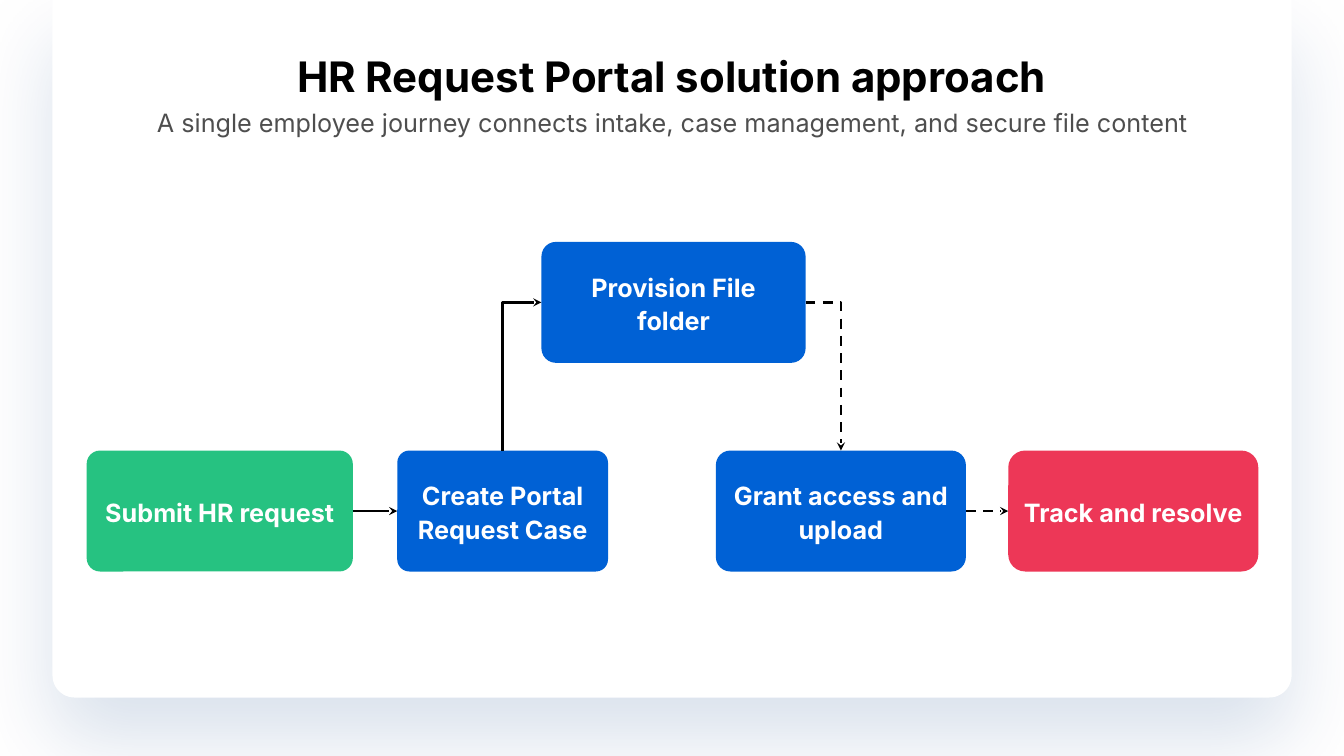
from lxml import etree
from pptx import Presentation
from pptx.dml.color import RGBColor
from pptx.enum.dml import MSO_LINE
from pptx.enum.shapes import MSO_CONNECTOR as LINK, MSO_SHAPE as SHAPE
from pptx.enum.text import MSO_ANCHOR as ANCHOR, MSO_AUTO_SIZE as FIT, PP_ALIGN as ALIGN
from pptx.oxml.ns import qn
from pptx.util import Inches, Pt

TITLE = "HR Request Portal solution approach"
SUB = "A single employee journey connects intake, case management, and secure file content"
FONT = "Inter"
HEX = {"white": "FFFFFF", "black": "000000", "gray": "4E4E4E", "green": "26C281",
       "blue": "0061D5", "red": "ED3757", "shade": "003A83"}
WIDE, HIGH = 13.33, 7.5
ROWS = {"upper": 0.32 * HIGH, "lower": 0.596 * HIGH}
TALL = 0.16 * HIGH

# name: text, row, left, width, corner, colour
STEPS = {
    "submit": ("Submit HR request", "lower", 0.86, 2.64, 0.11, "green"),
    "create": ("Create Portal Request Case", "lower", 3.94, 2.09, 0.1, "blue"),
    "folder": ("Provision File folder", "upper", 5.37, 2.62, 0.12, "blue"),
    "grant": ("Grant access and upload", "lower", 7.1, 2.48, 0.12, "blue"),
    "track": ("Track and resolve", "lower", 10, 2.48, 0.14, "red"),
}
TOP, LEFT, RIGHT = 0, 1, 3
# start, side, end, side, bent, dashed, end that has the arrow
LINKS = [
    ("submit", RIGHT, "create", LEFT, False, False, "tailEnd"),
    ("folder", LEFT, "create", TOP, True, False, "headEnd"),
    ("folder", RIGHT, "grant", TOP, True, True, "tailEnd"),
    ("grant", RIGHT, "track", LEFT, False, True, "tailEnd"),
]


def rgb(name):
    return RGBColor.from_string(HEX[name])


def write(shape, text, size, color, bold=False, space=1.0, pad=(0, 0), anchor=ANCHOR.TOP):
    frame = shape.text_frame
    frame.text = text
    frame.word_wrap = True
    frame.auto_size = FIT.NONE
    frame.vertical_anchor = anchor
    frame.margin_left = frame.margin_right = Inches(pad[0])
    frame.margin_top = frame.margin_bottom = Inches(pad[1])
    para = frame.paragraphs[0]
    para.alignment = ALIGN.CENTER
    para.line_spacing = space
    font = para.runs[0].font
    font.name, font.size, font.bold = FONT, Pt(size), bold
    font.color.rgb = rgb(color)


def block(slide, kind, box, color):
    shape = slide.shapes.add_shape(kind, *map(Inches, box))
    shape.shadow.inherit = False
    shape.fill.solid()
    shape.fill.fore_color.rgb = rgb(color)
    shape.line.fill.background()
    return shape


def add_card(slide):
    """Puts the white panel with its soft shadow behind everything."""
    card = block(slide, SHAPE.ROUND_2_SAME_RECTANGLE, (0.52, 0, 12.29, 6.92), "white")
    card.adjustments[0], card.adjustments[1] = 0, 0.032
    glow = etree.SubElement(card._element.spPr.find(qn("a:effectLst")), qn("a:outerShdw"),
                            blurRad=str(Pt(60)), dist=str(Pt(30)), dir="5400000",
                            algn="t", rotWithShape="0")
    tint = etree.SubElement(glow, qn("a:srgbClr"), val=HEX["shade"])
    etree.SubElement(tint, qn("a:alpha"), val="15000")
    slide.shapes._spTree.insert(2, card._element)


def add_step(slide, text, row, left, width, corner, color):
    step = block(slide, SHAPE.ROUNDED_RECTANGLE, (left, ROWS[row], width, TALL), color)
    step.adjustments[0] = corner
    write(step, text, 18, "white", True, 1.1, (0.1, 0.05), ANCHOR.MIDDLE)
    return step


def add_link(slide, start, out, end, into, bent, dashed, tip):
    link = slide.shapes.add_connector(LINK.ELBOW if bent else LINK.STRAIGHT, 0, 0, 0, 0)
    link.begin_connect(start, out)
    link.end_connect(end, into)
    props = link._element.spPr
    if bent:
        props.find(qn("a:prstGeom")).set("prst", "bentConnector2")
    link.line.width = Pt(1.75)
    link.line.color.rgb = rgb("black")
    if dashed:
        link.line.dash_style = MSO_LINE.DASH
    etree.SubElement(props.find(qn("a:ln")), qn("a:" + tip), type="stealth")
    etree.SubElement(props, qn("a:effectLst"))


def main():
    deck = Presentation()
    deck.slide_width, deck.slide_height = Inches(WIDE), Inches(HIGH)
    slide = deck.slides.add_slide(deck.slide_layouts[5])
    add_card(slide)

    title = slide.shapes.title
    title.left, title.top, title.width, title.height = map(Inches, (0.54, 0.5, 12.25, 0.81))
    write(title, TITLE, 30, "black", True)
    sub = slide.shapes.add_textbox(*map(Inches, (0.92, 1, 11.5, 0.62)))
    write(sub, SUB, 18, "gray", space=1.2)

    steps = {name: add_step(slide, *data) for name, data in STEPS.items()}
    for start, out, end, *rest in LINKS:
        add_link(slide, steps[start], out, steps[end], *rest)
    deck.save("out.pptx")


if __name__ == "__main__":
    main()
